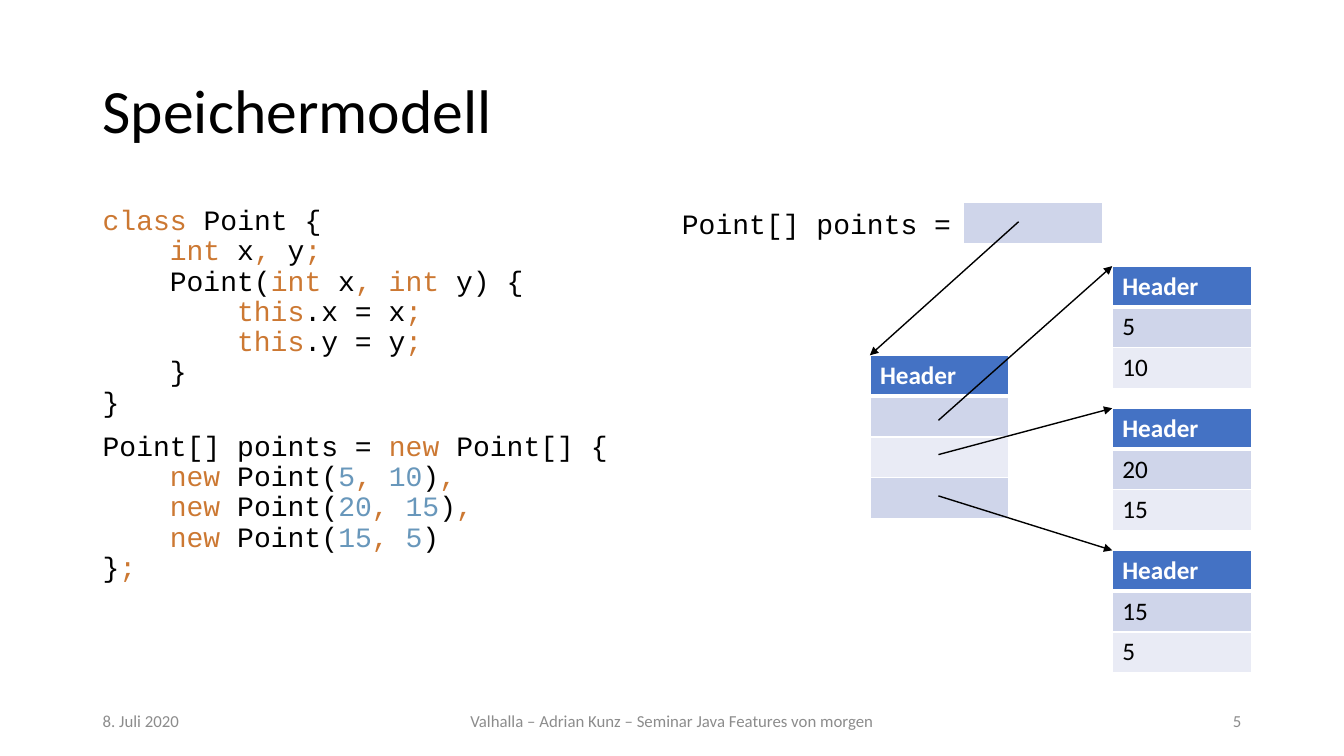
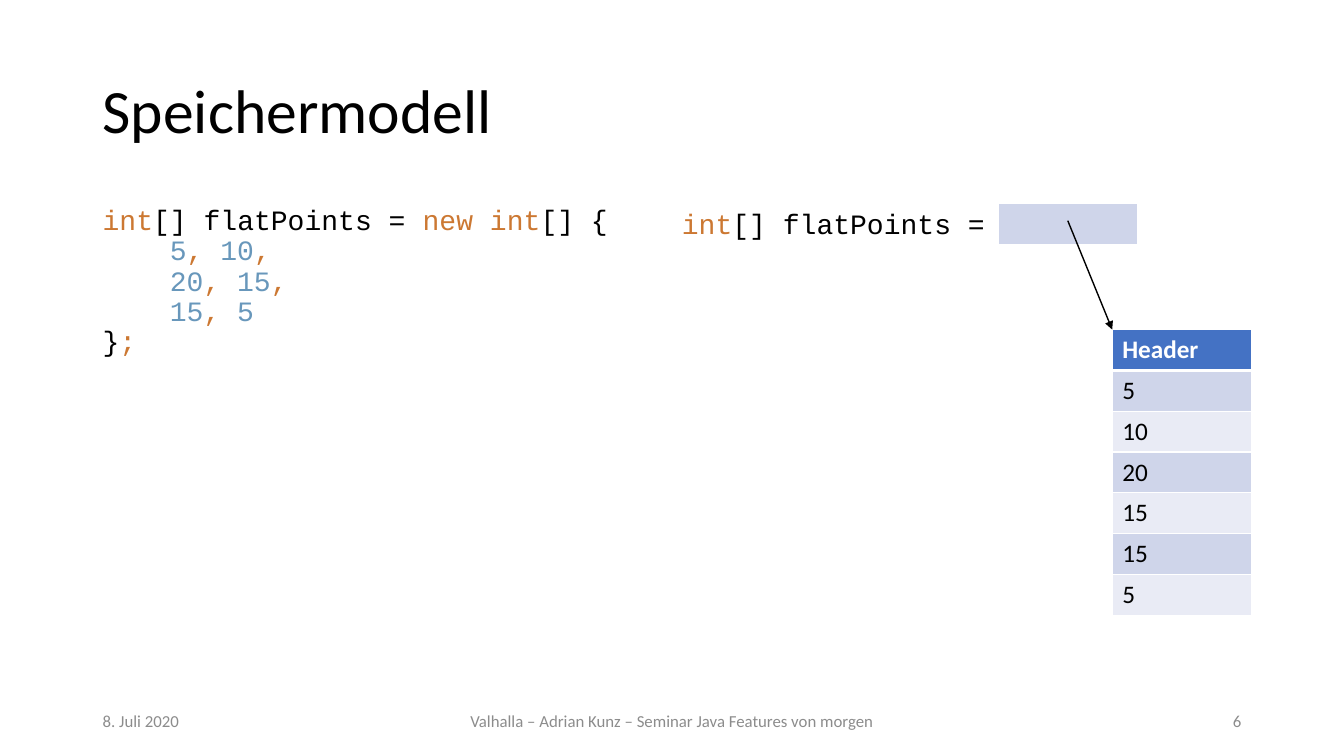
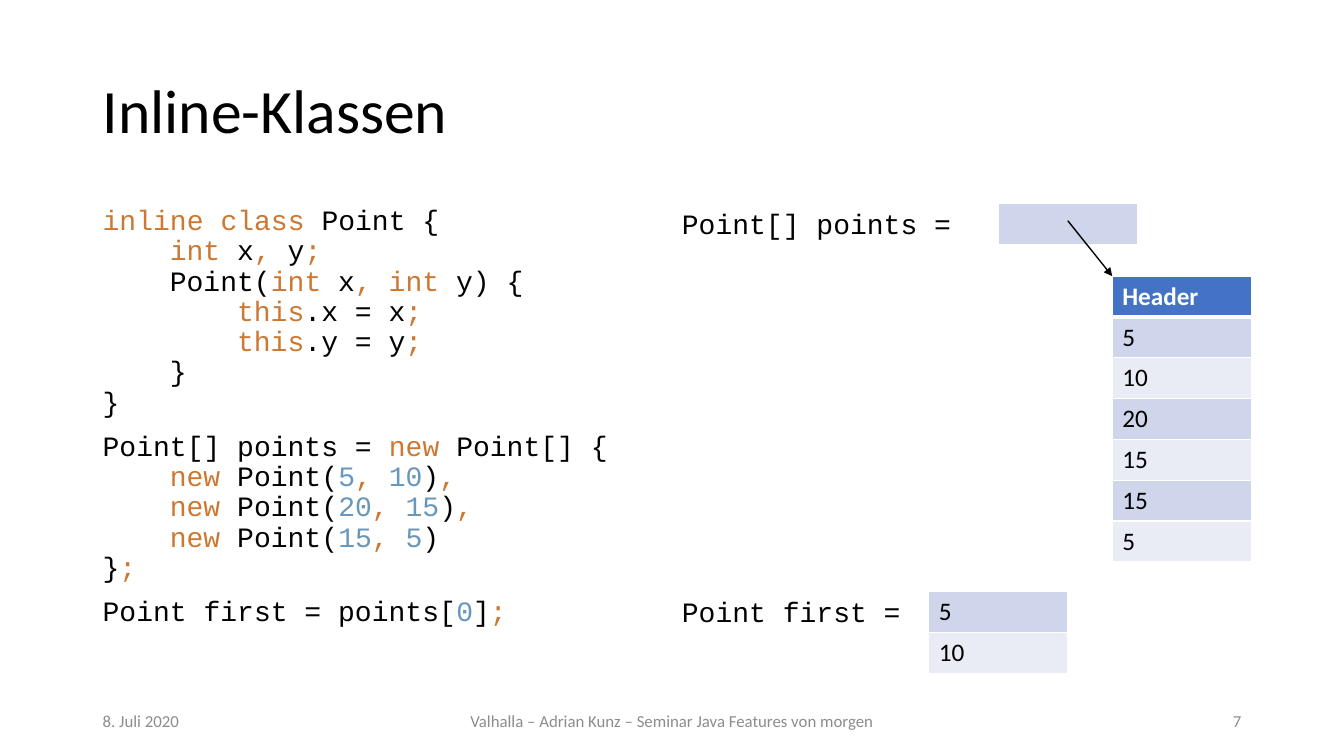
from itertools import groupby

from lxml import etree
from pptx import Presentation
from pptx import util as u
from pptx.dml.color import RGBColor
from pptx.enum import shapes, text
from pptx.oxml import ns

POINT_CLASS = """class Point {
    int x, y;
    Point(int x, int y) {
        this.x = x;
        this.y = y;
    }
}"""
POINT_ARRAY = """Point[] points = new Point[] {
    new Point(5, 10),
    new Point(20, 15),
    new Point(15, 5)
};"""
FLAT_ARRAY = """int[] flatPoints = new int[] {
    5, 10,
    20, 15,
    15, 5
};"""
POINTS = [(5, 10), (20, 15), (15, 5)]
FLAT_VALUES = [value for point in POINTS for value in point]
KEYWORDS = {"class", "inline", "int", "new", "this"}


def colour(value):
    return RGBColor.from_string(value)


def character_kind(character):
    return "word" if character.isalnum() else "separator" if character in ",;" else "other"


class Deck:
    WIDTH, HEIGHT, MARGIN = 13.33, 7.5, 0.92
    COLUMNS, ROWS = 12, 30
    BODY, CODE = "Calibri", "Courier New"
    BLACK, WHITE, GREY = "000000", "FFFFFF", "8C8C8C"
    KEYWORD, NUMBER = "CC7832", "6897BB"
    HEADER, BANDS = "4472C4", ("CFD5EA", "E9EBF5")
    CODE_TOP, CELL_WIDTH, CELL_HEIGHT = 8, 1.44, 1.62
    OBJECT_COLUMN = COLUMNS - CELL_WIDTH
    INDENT = u.Pt(48)
    LEFT, CENTER, RIGHT = text.PP_ALIGN.LEFT, text.PP_ALIGN.CENTER, text.PP_ALIGN.RIGHT
    FOOTER = [(0, 3.13, LEFT, "8. Juli 2020"),
              (3.65, 4.7, CENTER, "Valhalla – Adrian Kunz – Seminar Java Features von morgen")]

    def __init__(self):
        self.deck = Presentation()
        self.deck.slide_width = u.Inches(self.WIDTH)
        self.deck.slide_height = u.Inches(self.HEIGHT)
        self.page = None

    def across(self, columns):
        return u.Inches(columns * (self.WIDTH - 2 * self.MARGIN) / self.COLUMNS)

    def down(self, rows):
        return u.Inches(rows * self.HEIGHT / self.ROWS)

    def point(self, column, row):
        return u.Inches(self.MARGIN) + self.across(column), self.down(row)

    def area(self, column, row, columns, rows):
        return *self.point(column, row), self.across(columns), self.down(rows)

    def new_page(self, title, number):
        self.page = self.deck.slides.add_slide(self.deck.slide_layouts[6])
        para = self.frame(0, 1.6, 12, 5.8, text.MSO_ANCHOR.MIDDLE).paragraphs[0]
        para.line_spacing = 0.9
        self.span(para, title, 44, self.BLACK)
        for column, columns, align, words in self.FOOTER + [(8.87, 3.13, self.RIGHT, str(number))]:
            para = self.frame(column, 27.8, columns, 1.6, text.MSO_ANCHOR.MIDDLE).paragraphs[0]
            para.alignment = align
            self.span(para, words, 12, self.GREY)

    def frame(self, column, row, columns, rows, anchor=text.MSO_ANCHOR.TOP):
        box = self.page.shapes.add_textbox(*self.area(column, row, columns, rows))
        box.text_frame.word_wrap = True
        box.text_frame.vertical_anchor = anchor
        return box.text_frame

    def span(self, para, words, size, shade, font=BODY, bold=False):
        span = para.add_run()
        span.text = words
        span.font.size = u.Pt(size)
        span.font.name = font
        span.font.bold = bold
        span.font.color.rgb = colour(shade)

    def code_colour(self, token):
        if token in KEYWORDS or token in (",", ";"):
            return self.KEYWORD
        return self.NUMBER if token.isdigit() else self.BLACK

    def code_line(self, para, line):
        tokens = ["".join(group) for _, group in groupby(line, character_kind)]
        for shade, group in groupby(tokens, self.code_colour):
            self.span(para, "".join(group), 20, shade, self.CODE)

    def code(self, *blocks):
        frame = self.frame(0, self.CODE_TOP, 6, 19.04)
        lines = [(line, index == 0) for block in blocks
                 for index, line in enumerate(block.splitlines())]
        for index, (line, starts_block) in enumerate(lines):
            para = frame.add_paragraph() if index else frame.paragraphs[0]
            para.line_spacing = 0.9
            para.space_before = u.Pt(10 if starts_block else 0)
            words = line.lstrip()
            level = (len(line) - len(words)) // 4
            para._p.get_or_add_pPr().set("marL", str(level * self.INDENT))
            self.code_line(para, words)

    def variable(self, label, row, columns):
        self.code_line(self.frame(6, row, columns, 1.76).paragraphs[0], label)

    def borders(self, cell, top, bottom):
        properties = cell._tc.get_or_add_tcPr()
        for side, width in (("L", 1), ("R", 1), ("T", top), ("B", bottom)):
            line = etree.SubElement(properties, ns.qn(f"a:ln{side}"), w=str(u.Pt(width)))
            fill = etree.SubElement(line, ns.qn("a:solidFill"))
            etree.SubElement(fill, ns.qn("a:srgbClr"), val=self.WHITE)

    def memory(self, column, row, values, header=True):
        entries = ["Header", *values] if header else values
        area = self.area(column, row, self.CELL_WIDTH, self.CELL_HEIGHT * len(entries))
        table = self.page.shapes.add_table(len(entries), 1, *area).table
        table.first_row = table.horz_banding = False
        for index, entry in enumerate(entries):
            cell = table.cell(index, 0)
            is_header = header and index == 0
            below_header = header and index == 1
            self.borders(cell, 3 if below_header else 1, 3 if is_header else 1)
            cell.fill.solid()
            band = self.BANDS[(index - header) % 2]
            cell.fill.fore_color.rgb = colour(self.HEADER if is_header else band)
            if entry != "":
                shade = self.WHITE if is_header else self.BLACK
                self.span(cell.text_frame.paragraphs[0], str(entry), 18, shade, bold=is_header)

    def arrow(self, start, end):
        arrow = self.page.shapes.add_connector(
            shapes.MSO_CONNECTOR.STRAIGHT, *self.point(*start), *self.point(*end))
        arrow.line.color.rgb = colour(self.BLACK)
        arrow.line.width = u.Pt(1)
        etree.SubElement(arrow.line._get_or_add_ln(), ns.qn("a:tailEnd"), type="triangle")
        etree.SubElement(arrow._element.spPr, ns.qn("a:effectLst"))

    def flat_array(self, label, row):
        self.variable(label, self.CODE_TOP, 3.38)
        self.memory(self.OBJECT_COLUMN, row, FLAT_VALUES)
        self.memory(9.38, 8.08, [""], header=False)
        self.arrow((10.1, 8.76), (self.OBJECT_COLUMN, row))

    def save(self):
        self.deck.save("out.pptx")


def main():
    deck = Deck()

    deck.new_page("Speichermodell", 5)
    deck.code(POINT_CLASS, POINT_ARRAY)
    deck.variable("Point[] points =", deck.CODE_TOP, 3.03)
    array_corner = (8.05, 14.1)
    deck.memory(*array_corner, ["", "", ""])
    corners = [(deck.OBJECT_COLUMN, 10.56 + 5.64 * index) for index in range(len(POINTS))]
    for corner, point in zip(corners, POINTS):
        deck.memory(*corner, point)
    for start_row, corner in zip((16.68, 18.04, 19.68), corners):
        deck.arrow((8.76, start_row), corner)
    deck.memory(9.02, 8.04, [""], header=False)
    deck.arrow((9.59, 8.8), array_corner)

    deck.new_page("Speichermodell", 6)
    deck.code(FLAT_ARRAY)
    deck.flat_array("int[] flatPoints =", 13.08)

    deck.new_page("Inline-Klassen", 7)
    deck.code("inline " + POINT_CLASS, POINT_ARRAY, "Point first = points[0];")
    deck.flat_array("Point[] points =", 10.96)
    deck.variable("Point first =", 23.4, 3.38)
    deck.memory(8.66, 23.48, POINTS[0], header=False)

    deck.save()


if __name__ == "__main__":
    main()
